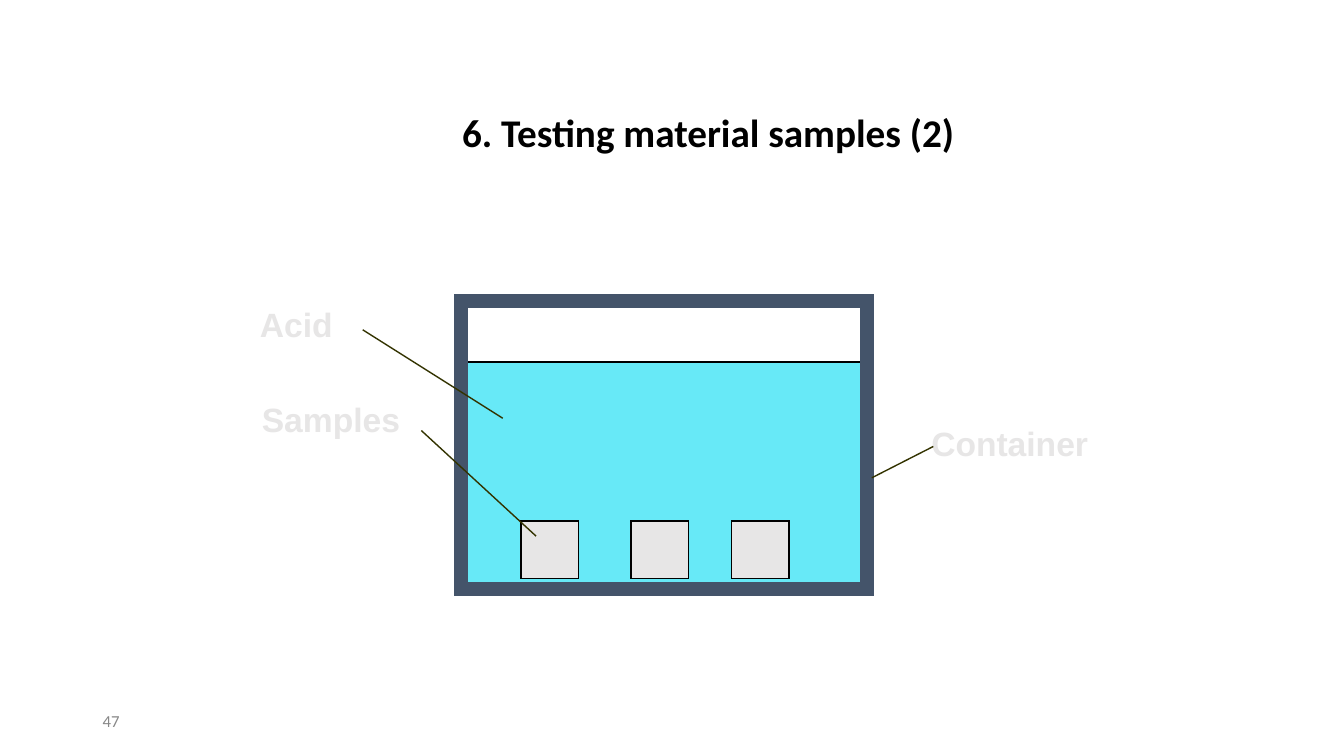
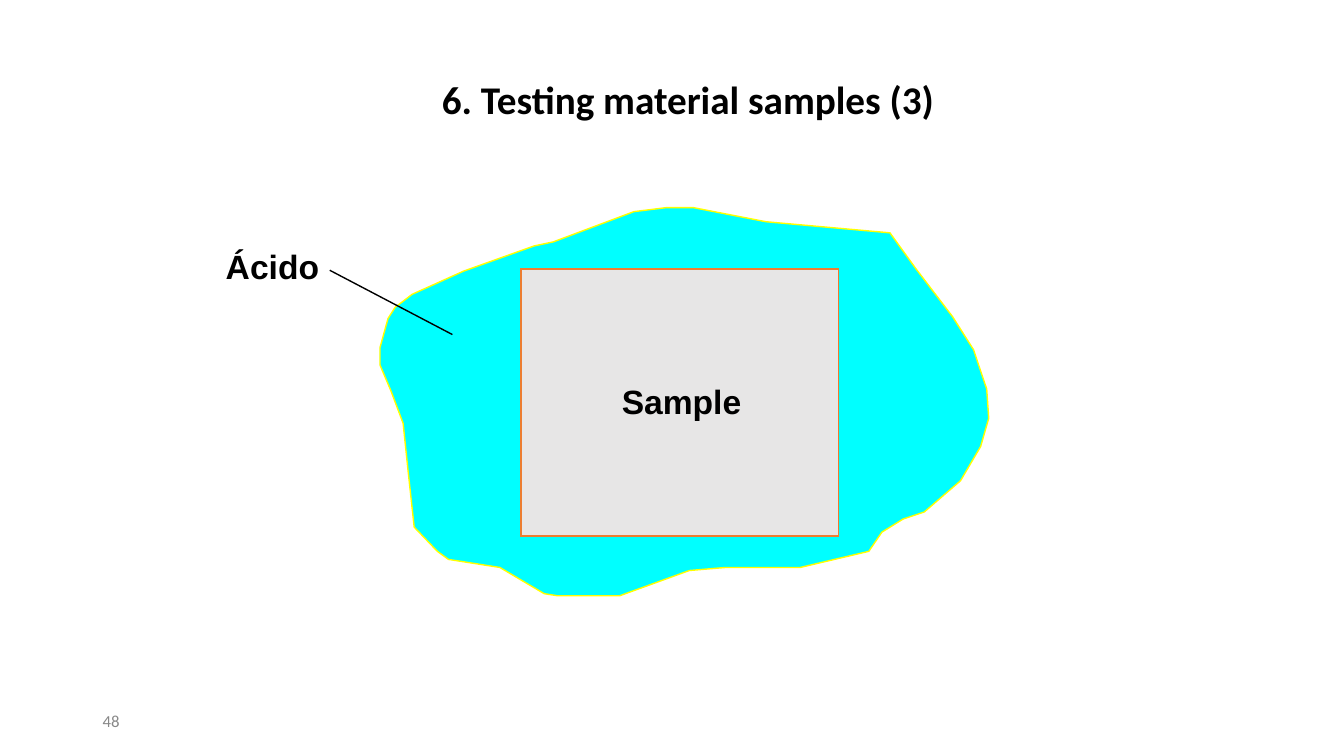
from dataclasses import dataclass

from lxml import etree
from pptx import Presentation
from pptx import util as u
from pptx.dml.color import RGBColor
from pptx.enum import shapes, text
from pptx.oxml import ns


@dataclass(frozen=True)
class Theme:
    black: str = "000000"
    gray: str = "888888"
    pale: str = "E7E6E6"
    slate: str = "44546A"
    olive: str = "333300"
    orange: str = "ED7D31"
    yellow: str = "FFFF00"
    acid: str = "67E9F7"
    cyan: str = "00FFFF"
    head: str = "Calibri"
    body: str = "Arial"
    title: int = 28
    label: int = 24
    foot: int = 12
    thin: int = 1
    wall: int = 10


T = Theme()
TALL = 1.27

# Outline of the acid drop, in hundredths of an inch
DROP = [
    (411, 523), (405, 468), (400, 420), (388, 388), (377, 362), (377, 345),
    (385, 316), (392, 305), (409, 292), (460, 269), (530, 244), (549, 240),
    (629, 210), (661, 206), (688, 206), (760, 220), (883, 231), (909, 267),
    (945, 314), (966, 347), (979, 386), (981, 415), (973, 443), (953, 477),
    (917, 508), (896, 515), (875, 528), (862, 547), (794, 563), (720, 563),
    (684, 566), (615, 591), (553, 591), (540, 589), (496, 563), (445, 555),
    (434, 547),
]


def tint(code):
    return RGBColor.from_string(code)


def cms(*vals):
    return [u.Cm(v) for v in vals]


def write(slide, box, words, font, size, color, bold=True,
          align=text.PP_ALIGN.LEFT, anchor=text.MSO_ANCHOR.TOP, gap=1.0):
    frame = slide.shapes.add_textbox(*cms(*box)).text_frame
    frame.word_wrap = True
    frame.vertical_anchor = anchor
    para = frame.paragraphs[0]
    para.alignment = align
    para.line_spacing = gap
    run = para.add_run()
    run.text = words
    run.font.name = font
    run.font.size = u.Pt(size)
    run.font.bold = bold
    run.font.color.rgb = tint(color)


def label(slide, left, top, wide, words, color=T.black):
    write(slide, (left, top, wide, TALL), words, T.body, T.label, color)


def paint(shape, fill, line, width=T.thin):
    """Set fill and outline, with square corners and no shadow."""
    shape.shadow.inherit = False
    if fill:
        shape.fill.solid()
        shape.fill.fore_color.rgb = tint(fill)
    else:
        shape.fill.background()
    shape.line.color.rgb = tint(line)
    shape.line.width = u.Pt(width)
    edge = shape._element.spPr.find(ns.qn("a:ln"))
    etree.SubElement(edge, ns.qn("a:miter"), lim="800000")


def rect(slide, box, fill, line, width=T.thin):
    kind = shapes.MSO_SHAPE.RECTANGLE
    paint(slide.shapes.add_shape(kind, *cms(*box)), fill, line, width)


def blob(slide, dots, fill, line):
    form = slide.shapes.build_freeform(*dots[0], scale=u.Cm(2.54) / 100)
    form.add_line_segments(dots[1:], close=True)
    paint(form.convert_to_shape(), fill, line)


def lead(slide, ends, color):
    """Draw a leader line from a label to its part."""
    kind = shapes.MSO_CONNECTOR.STRAIGHT
    line = slide.shapes.add_connector(kind, *cms(*ends))
    line.line.color.rgb = tint(color)
    line.line.width = u.Pt(T.thin)
    etree.SubElement(line._element.spPr, ns.qn("a:effectLst"))


def page(deck, number, title, box):
    """Add a slide with its number and title."""
    slide = deck.slides.add_slide(deck.slide_layouts[6])
    mid = text.MSO_ANCHOR.MIDDLE
    write(slide, (2.34, 17.65, 7.62, 1.02), str(number), T.head, T.foot,
          T.gray, bold=False, anchor=mid)
    write(slide, box, title, T.head, T.title, T.black,
          align=text.PP_ALIGN.CENTER, anchor=mid, gap=0.9)
    return slide


def tank(deck):
    slide = page(deck, 47, "6. Testing material samples (2)",
                 (9.96, 2.34, 15.77, 2.11))
    rect(slide, (11.66, 9.12, 10.13, 5.69), T.acid, T.black)
    rect(slide, (11.61, 7.59, 10.24, 7.26), None, T.slate, T.wall)
    for left in (13.13, 15.9, 18.44):
        rect(slide, (left, 13.13, 1.45, 1.45), T.pale, T.black)
    parts = [
        ("Acid", (6.3, 7.54, 2.54), (9.14, 8.31, 12.67, 10.54)),
        ("Samples", (6.35, 9.93, 4.06), (10.62, 10.85, 13.51, 13.51)),
        ("Container", (23.22, 10.52, 4.6), (23.52, 11.25, 21.97, 12.04)),
    ]
    for words, spot, ends in parts:
        label(slide, *spot, words, T.pale)
        lead(slide, ends, T.olive)


def drop(deck):
    slide = page(deck, 48, "6. Testing material samples (3)",
                 (9.93, 1.52, 14.81, 2.11))
    blob(slide, DROP, T.cyan, T.yellow)
    rect(slide, (13.13, 6.78, 8, 6.73), T.pale, T.orange)
    label(slide, 15.42, 9.47, 3.6, "Sample")
    label(slide, 5.44, 6.07, 3, "Ácido")
    lead(slide, (8.31, 6.81, 11.4, 8.43), T.black)


def main():
    deck = Presentation()
    deck.slide_width, deck.slide_height = cms(33.87, 19.05)
    tank(deck)
    drop(deck)
    deck.save("out.pptx")


if __name__ == "__main__":
    main()
